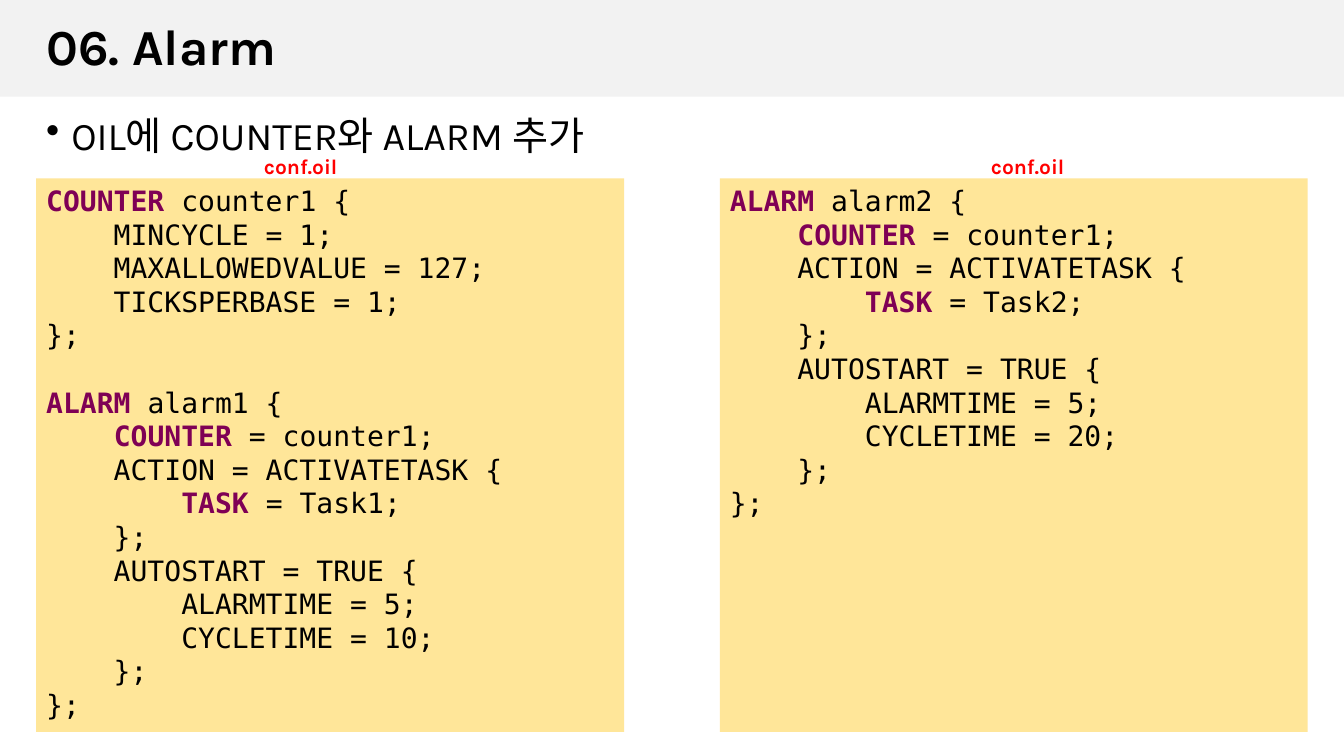
"""Build the slide that shows the OIL counter and alarm configuration."""
import pptx
import pptx.dml.color
import pptx.enum.shapes
import pptx.enum.text
import pptx.oxml
import pptx.oxml.ns
import pptx.util

Inches = pptx.util.Inches
Pt = pptx.util.Pt
RGBColor = pptx.dml.color.RGBColor
ANCHOR = pptx.enum.text.MSO_ANCHOR
ALIGN = pptx.enum.text.PP_ALIGN

BLACK = RGBColor(0x00, 0x00, 0x00)
RED = RGBColor(0xFF, 0x00, 0x00)
PURPLE = RGBColor(0x7F, 0x00, 0x55)
BAND_GREY = RGBColor(0xF2, 0xF2, 0xF2)
PANEL_YELLOW = RGBColor(0xFF, 0xE6, 0x99)

TITLE = {"name": "Karla", "size": Pt(36), "bold": True, "color": BLACK}
BODY = {"name": "Karla", "size": Pt(28), "bold": False, "color": BLACK}
LABEL = {"name": "Karla", "size": Pt(15), "bold": True, "color": RED}
CODE = {"name": "DejaVu Sans Mono", "size": Pt(20), "bold": False, "color": BLACK}
KEYWORD = {**CODE, "bold": True, "color": PURPLE}
KEYWORDS = {"COUNTER", "ALARM", "TASK"}

COUNTER_CODE = """COUNTER counter1 {
    MINCYCLE = 1;
    MAXALLOWEDVALUE = 127;
    TICKSPERBASE = 1;
};"""
ALARM_CODE = """ALARM alarm%(number)d {
    COUNTER = counter1;
    ACTION = ACTIVATETASK {
        TASK = Task%(number)d;
    };
    AUTOSTART = TRUE {
        ALARMTIME = 5;
        CYCLETIME = %(cycle)d;
    };
};"""


def add_span(para, text, style):
    """Append a run of text with the given style."""
    span = para.add_run()
    span.text = text
    for key, value in style.items():
        if key == "color":
            span.font.color.rgb = value
        else:
            setattr(span.font, key, value)


def add_rectangle(page, left, top, width, height, color):
    """Add a plain filled rectangle."""
    box = page.shapes.add_shape(
        pptx.enum.shapes.MSO_SHAPE.RECTANGLE,
        Inches(left), Inches(top), Inches(width), Inches(height))
    box.shadow.inherit = False
    box.fill.solid()
    box.fill.fore_color.rgb = color
    box.line.fill.background()
    return box


def add_text(page, left, top, width, height, text, style, anchor=ANCHOR.TOP):
    """Add a one-paragraph text box and return its paragraph."""
    box = page.shapes.add_textbox(
        Inches(left), Inches(top), Inches(width), Inches(height))
    box.text_frame.word_wrap = True
    box.text_frame.vertical_anchor = anchor
    para = box.text_frame.paragraphs[0]
    add_span(para, text, style)
    return para


def add_bullet(para):
    """Give a paragraph a hanging bullet."""
    properties = para._p.get_or_add_pPr()
    properties.set("marL", str(Inches(0.25)))
    properties.set("indent", str(Inches(-0.25)))
    properties.append(pptx.oxml.parse_xml(
        '<a:buChar %s char="•"/>' % pptx.oxml.ns.nsdecls("a")))


def add_code_line(para, line):
    """Write one code line with its leading keyword highlighted."""
    para.alignment = ALIGN.LEFT
    word = line.split()[0]
    if word not in KEYWORDS:
        add_span(para, line, CODE)
        return
    indent, keyword, rest = line.partition(word)
    if indent:
        add_span(para, indent, CODE)
    add_span(para, keyword, KEYWORD)
    add_span(para, rest, CODE)


def add_code_panel(page, left, label_left, blocks):
    """Add a labelled panel holding code blocks set one line apart."""
    panel = add_rectangle(page, left, 1.77, 5.83, 5.49, PANEL_YELLOW)
    frame = panel.text_frame
    frame.word_wrap = True
    frame.vertical_anchor = ANCHOR.TOP
    para = frame.paragraphs[0]
    for block_index, block in enumerate(blocks):
        for line_index, line in enumerate(block.splitlines()):
            if block_index or line_index:
                para = frame.add_paragraph()
            if block_index and not line_index:
                para.space_before = Pt(24)
            add_code_line(para, line)
    add_text(page, label_left, 1.47, 1.13, 0.35, "conf.oil", LABEL)


def main():
    """Build and save the deck."""
    deck = pptx.Presentation()
    deck.slide_width = Inches(13.33)
    deck.slide_height = Inches(7.5)
    page = deck.slides.add_slide(deck.slide_layouts[6])

    add_rectangle(page, 0, 0, 13.33, 0.96, BAND_GREY)
    title = add_text(page, 0.36, 0.07, 12.6, 0.83, "06. Alarm", TITLE, ANCHOR.MIDDLE)
    body = add_text(page, 0.36, 1.11, 12.6, 6.16, "OIL에 COUNTER와 ALARM 추가", BODY)
    for para in (title, body):
        para.line_spacing = 0.9
    add_bullet(body)

    first_alarm = ALARM_CODE % {"number": 1, "cycle": 10}
    second_alarm = ALARM_CODE % {"number": 2, "cycle": 20}
    add_code_panel(page, 0.36, 2.52, [COUNTER_CODE, first_alarm])
    add_code_panel(page, 7.14, 9.73, [second_alarm])
    deck.save("out.pptx")


if __name__ == "__main__":
    main()
